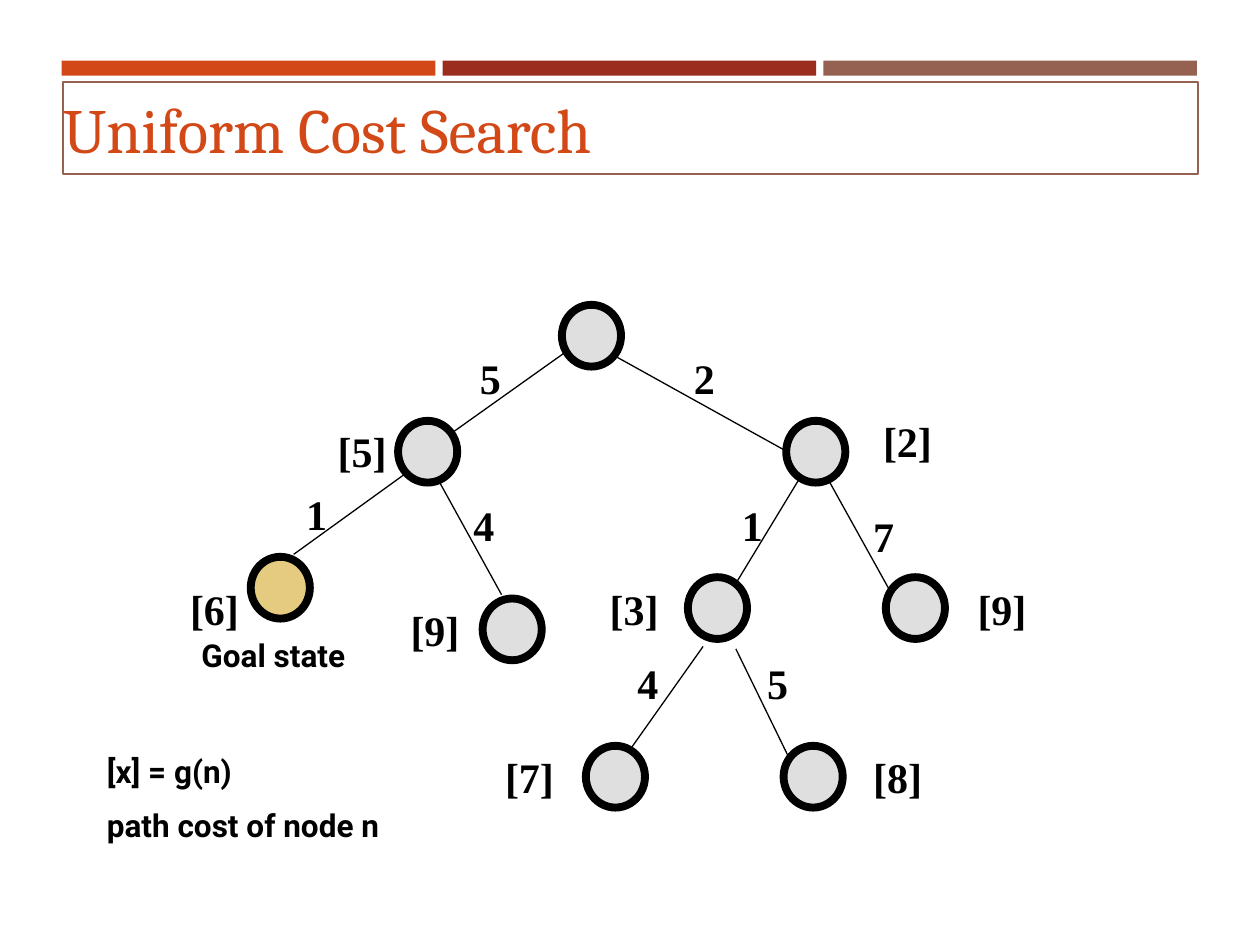
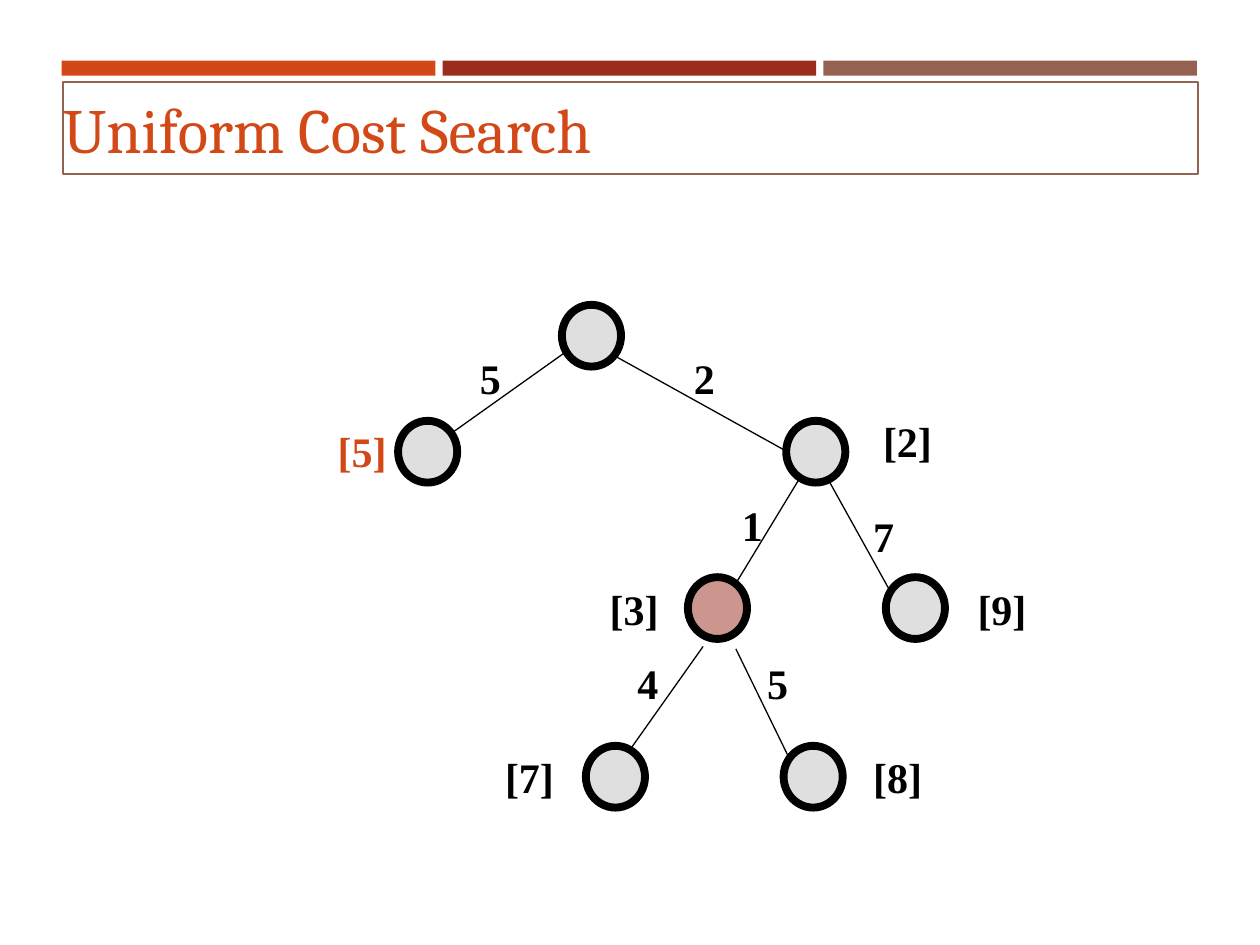
from lxml import etree
from pptx import Presentation
from pptx.dml.color import RGBColor
from pptx.enum import shapes, text
from pptx.oxml import ns
from pptx.util import Pt

COLOURS = {
    "orange": "D34817", "red": "9B2D1F", "brown": "956251",
    "black": "000000", "grey": "C0C0C0", "gold": "CC9900",
}
TITLE = "Uniform Cost Search"
TITLE_BOX = (36, 51.1, 648.7, 43.9)
BANDS = ["orange", "red", "brown"]
BAND_LEFT, BAND_TOP, BAND_WIDTH, BAND_HEIGHT, BAND_GAP = 35.3, 34.6, 213.5, 8.6, 4.1

NODE_SIZE = (33.8, 35.3)
COST_SIZE = (26.6, 36)
LABEL_SIZE = (42.5, 36)

# Nodes: name, corner, path cost label, label corner
MAIN_NODES = [
    ("root", (321.1, 174.2), None, None),
    ("left", (227.5, 240.5), "[5]", (185.8, 239.8)),
    ("right", (449.3, 240.5), "[2]", (497.5, 234)),
    ("right far", (506.2, 329.8), "[9]", (551.5, 329.8)),
    ("right near", (393.1, 329.8), "[3]", (341.3, 329.8)),
    ("leaf far", (447.8, 426.2), "[8]", (491.8, 426.2)),
    ("leaf near", (334.8, 426.2), "[7]", (281.5, 426.2)),
]
LEFT_NODES = [
    ("goal", (143.3, 318.2), "[6]", (101.5, 329.8)),
    ("left far", (275.8, 342), "[9]", (227.5, 342)),
]
# Edges: start, end, step cost, cost corner
MAIN_EDGES = [
    ((322.6, 201.6), (257.8, 247.7), "5", (267.1, 198)),
    ((350.6, 203), (449.3, 257.8), "2", (389.5, 198)),
    ((457.2, 272.9), (420.5, 333.4), "1", (416.9, 282.2)),
    ((473.8, 275), (509, 338.4), "7", (491.8, 288)),
    ((401.8, 369.4), (360, 428.4), "4", (357.1, 372.2)),
    ((420.5, 370.8), (450.7, 432.7), "5", (431.3, 372.2)),
]
LEFT_EDGES = [
    ((232.6, 270), (167.8, 316.8), "1", (167.8, 275.8)),
    ((251.3, 275.8), (286.6, 339.8), "4", (263.5, 282.2)),
]
SLIDES = [
    {
        "nodes": MAIN_NODES + LEFT_NODES,
        "edges": MAIN_EDGES + LEFT_EDGES,
        "fills": {"goal": "gold"},
        "label colours": {},
        "notes": [
            (["[x] = g(n)", "path cost of node n"], (54, 426.2, 198, 61.2)),
            (["Goal state"], (108, 360, 113.8, 28.8)),
        ],
    },
    {
        "nodes": MAIN_NODES,
        "edges": MAIN_EDGES,
        "fills": {"right near": "red"},
        "label colours": {"left": "orange"},
        "notes": [],
    },
]


def rgb(name):
    return RGBColor.from_string(COLOURS[name])


def points(values):
    return [Pt(value) for value in values]


def add_run(para, words, font, size, colour, bold=True):
    span = para.add_run()
    span.text = words
    span.font.name = font
    span.font.size = Pt(size)
    span.font.bold = bold
    span.font.color.rgb = rgb(colour)


def add_text(page, lines, place, font, size, colour="black", wrap=False):
    box = page.shapes.add_textbox(*points(place))
    frame = box.text_frame
    frame.word_wrap = wrap
    frame.auto_size = text.MSO_AUTO_SIZE.SHAPE_TO_FIT_TEXT
    for number, line in enumerate(lines):
        para = frame.add_paragraph() if number else frame.paragraphs[0]
        if number:
            para.space_before = Pt(size / 2)
        add_run(para, line, font, size, colour)


def add_number(page, words, corner, size, colour="black"):
    add_text(page, [words], corner + size, "Times New Roman", 24, colour)


def add_filled(page, preset, place, colour):
    shape = page.shapes.add_shape(preset, *points(place))
    shape.shadow.inherit = False
    shape.fill.solid()
    shape.fill.fore_color.rgb = rgb(colour)
    return shape


def add_node(page, corner, colour):
    node = add_filled(page, shapes.MSO_SHAPE.OVAL, corner + NODE_SIZE, colour)
    node.line.color.rgb = rgb("black")
    node.line.width = Pt(4.5)
    fill = node.element.spPr.find(ns.qn("a:solidFill"))
    etree.SubElement(fill[0], ns.qn("a:alpha"), val="50000")


def add_edge(page, start, end):
    edge = page.shapes.add_connector(
        shapes.MSO_CONNECTOR.STRAIGHT, *points(start + end))
    edge.line.color.rgb = rgb("black")
    edge.line.width = Pt(0.75)
    etree.SubElement(edge.element.spPr, ns.qn("a:effectLst"))


def add_master_bands(deck, page):
    """Draw the bands on a page, then move them to the master."""
    for number, colour in enumerate(BANDS):
        left = BAND_LEFT + number * (BAND_WIDTH + BAND_GAP)
        band = add_filled(page, shapes.MSO_SHAPE.RECTANGLE,
                          (left, BAND_TOP, BAND_WIDTH, BAND_HEIGHT), colour)
        band.line.fill.background()
        band.element.nvSpPr.cNvPr.set("id", str(100 + number))
        deck.slide_master.shapes.element.append(band.element)


def set_title(page):
    title = page.shapes.title
    title.left, title.top, title.width, title.height = points(TITLE_BOX)
    title.line.color.rgb = rgb("brown")
    title.line.width = Pt(1)
    frame = title.text_frame
    frame.margin_left = frame.margin_right = 0
    frame.margin_top = frame.margin_bottom = 0
    frame.vertical_anchor = text.MSO_ANCHOR.MIDDLE
    frame.auto_size = text.MSO_AUTO_SIZE.SHAPE_TO_FIT_TEXT
    para = frame.paragraphs[0]
    para.alignment = text.PP_ALIGN.LEFT
    add_run(para, TITLE, "Cambria", 36, "orange", bold=False)


def draw_tree(page, tree):
    for name, corner, _, _ in tree["nodes"]:
        add_node(page, corner, tree["fills"].get(name, "grey"))
    for start, end, cost, corner in tree["edges"]:
        add_edge(page, start, end)
        add_number(page, cost, corner, COST_SIZE)
    for name, _, label, corner in tree["nodes"]:
        if label:
            colour = tree["label colours"].get(name, "black")
            add_number(page, label, corner, LABEL_SIZE, colour)
    for lines, place in tree["notes"]:
        add_text(page, lines, place, "Roboto", 18, wrap=True)


def main():
    deck = Presentation()
    deck.slide_width, deck.slide_height = Pt(720), Pt(540)
    title_only = deck.slide_layouts[5]
    for number, tree in enumerate(SLIDES):
        page = deck.slides.add_slide(title_only)
        if number == 0:
            add_master_bands(deck, page)
        set_title(page)
        draw_tree(page, tree)
    deck.save("out.pptx")


if __name__ == "__main__":
    main()
